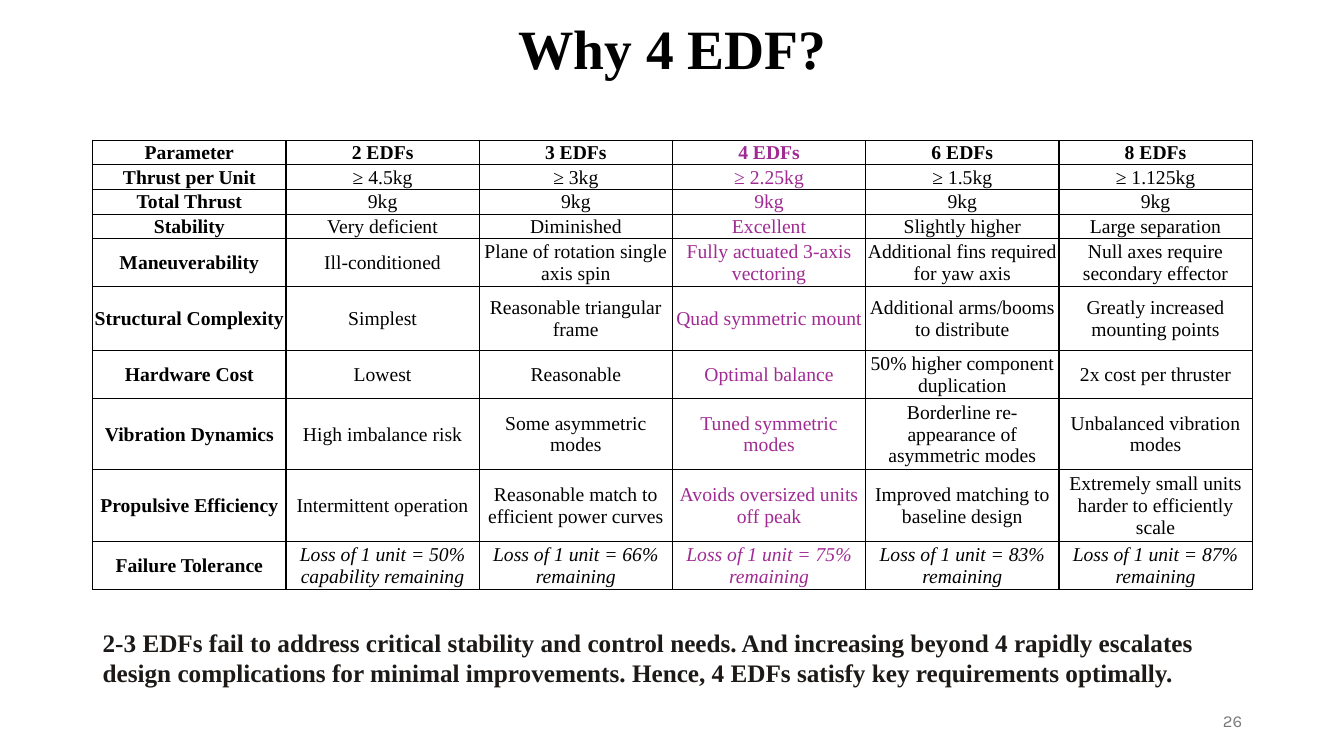
import pptx
import pptx.util
import pptx.dml.color
import pptx.enum.text
import pptx.oxml
import pptx.oxml.ns

Inches = pptx.util.Inches
Pt = pptx.util.Pt
RGB = pptx.dml.color.RGBColor
ALIGN = pptx.enum.text.PP_ALIGN
MID = pptx.enum.text.MSO_ANCHOR.MIDDLE
GROW = pptx.enum.text.MSO_AUTO_SIZE.SHAPE_TO_FIT_TEXT

BLACK = RGB(0x00, 0x00, 0x00)
INK = RGB(0x1C, 0x19, 0x17)
GRAY = RGB(0x79, 0x79, 0x79)
PLUM = RGB(0xA0, 0x2B, 0x93)
SERIF = "Times New Roman"

LEFT, WIDTH = 0.92, 11.5
PICK = 3  # column of the chosen design
ROWS = [
    ["Parameter", "2 EDFs", "3 EDFs", "4 EDFs", "6 EDFs", "8 EDFs"],
    ["Thrust per Unit", "≥ 4.5kg", "≥ 3kg", "≥ 2.25kg", "≥ 1.5kg", "≥ 1.125kg"],
    ["Total Thrust"] + ["9kg"] * 5,
    ["Stability", "Very deficient", "Diminished", "Excellent",
     "Slightly higher", "Large separation"],
    ["Maneuverability", "Ill-conditioned", "Plane of rotation single axis spin",
     "Fully actuated 3-axis vectoring", "Additional fins required for yaw axis",
     "Null axes require secondary effector"],
    ["Structural Complexity", "Simplest", "Reasonable triangular frame",
     "Quad symmetric mount", "Additional arms/booms to distribute",
     "Greatly increased mounting points"],
    ["Hardware Cost", "Lowest", "Reasonable", "Optimal balance",
     "50% higher component duplication", "2x cost per thruster"],
    ["Vibration Dynamics", "High imbalance risk", "Some asymmetric modes",
     "Tuned symmetric modes", "Borderline re-appearance of asymmetric modes",
     "Unbalanced vibration modes"],
    ["Propulsive Efficiency", "Intermittent operation",
     "Reasonable match to efficient power curves",
     "Avoids oversized units off peak", "Improved matching to baseline design",
     "Extremely small units harder to efficiently scale"],
    ["Failure Tolerance", "Loss of 1 unit = 50% capability remaining"]
    + [f"Loss of 1 unit = {part}% remaining" for part in (66, 75, 83, 87)],
]
TALL = [0.21] * 4 + [0.42, 0.63, 0.42, 0.63, 0.63, 0.42]
NOTE = ("2-3 EDFs fail to address critical stability and control needs. "
        "And increasing beyond 4 rapidly escalates design complications for "
        "minimal improvements. Hence, 4 EDFs satisfy key requirements optimally.")


def style(item, form):
    for name, value in form.items():
        setattr(item, name, value)


def write(para, text, color, font, align):
    run = para.add_run()
    run.text = text
    run.font.color.rgb = color
    style(run.font, font)
    para.alignment = align


def add_text(slide, box, text, color, font, align, frame, space=None):
    shape = slide.shapes.add_textbox(*map(Inches, box))
    style(shape.text_frame, {"word_wrap": True, **frame})
    para = shape.text_frame.paragraphs[0]
    write(para, text, color, font, align)
    if space:
        para.line_spacing = space


def add_edge(cell, side, width):
    cell._tc.get_or_add_tcPr().append(pptx.oxml.parse_xml(
        f'<a:ln{side} {pptx.oxml.ns.nsdecls("a")} w="{Pt(width)}">'
        f'<a:solidFill><a:srgbClr val="{BLACK}"/></a:solidFill></a:ln{side}>'))


def add_grid(slide, box):
    left, top, width, height = box
    last = len(ROWS) - 1
    table = slide.shapes.add_table(
        len(ROWS), len(ROWS[0]), *map(Inches, box)).table
    style(table, {"first_row": False, "horz_banding": False})
    for col in table.columns:
        col.width = Inches(width / len(ROWS[0]))
    for r, words in enumerate(ROWS):
        table.rows[r].height = Inches(TALL[r])
        # Outer rules are heavier than the inner row rules
        edges = {"L": 1, "R": 1, "T": 1 if r == 0 else 0.5,
                 "B": 1 if r == last else 0.5}
        for c, text in enumerate(words):
            cell = table.cell(r, c)
            style(cell, {"margin_left": Inches(0.01), "margin_right": Inches(0.01),
                         "margin_top": Inches(0.01), "margin_bottom": 0,
                         "vertical_anchor": MID})
            for side, weight in edges.items():
                add_edge(cell, side, weight)
            cell.fill.background()
            font = {"name": SERIF, "size": Pt(14), "bold": r == 0 or c == 0,
                    "italic": r == last and c > 0}
            write(cell.text_frame.paragraphs[0], text,
                  PLUM if c == PICK else BLACK, font, ALIGN.CENTER)


def add_page(slide):
    # Title
    add_text(slide, (LEFT, 0.15, WIDTH, 0.72), "Why 4 EDF?", BLACK,
             {"name": SERIF, "size": Pt(39.6), "bold": True},
             ALIGN.CENTER, {"vertical_anchor": MID}, 0.9)
    # Page number
    add_text(slide, (LEFT + WIDTH - 3, 6.95, 3, 0.4), "26", GRAY,
             {"name": "Karla", "size": Pt(12)},
             ALIGN.RIGHT, {"vertical_anchor": MID})
    # Closing statement
    add_text(slide, (LEFT, 6.17, WIDTH, 0.71), NOTE, INK,
             {"name": SERIF, "size": Pt(18), "bold": True},
             ALIGN.LEFT, {"auto_size": GROW})
    # Comparison table
    add_grid(slide, (LEFT, 1.39, WIDTH, sum(TALL)))


def main():
    deck = pptx.Presentation()
    style(deck, {"slide_width": Inches(13.33), "slide_height": Inches(7.5)})
    add_page(deck.slides.add_slide(deck.slide_layouts[6]))
    deck.save("out.pptx")


if __name__ == "__main__":
    main()
